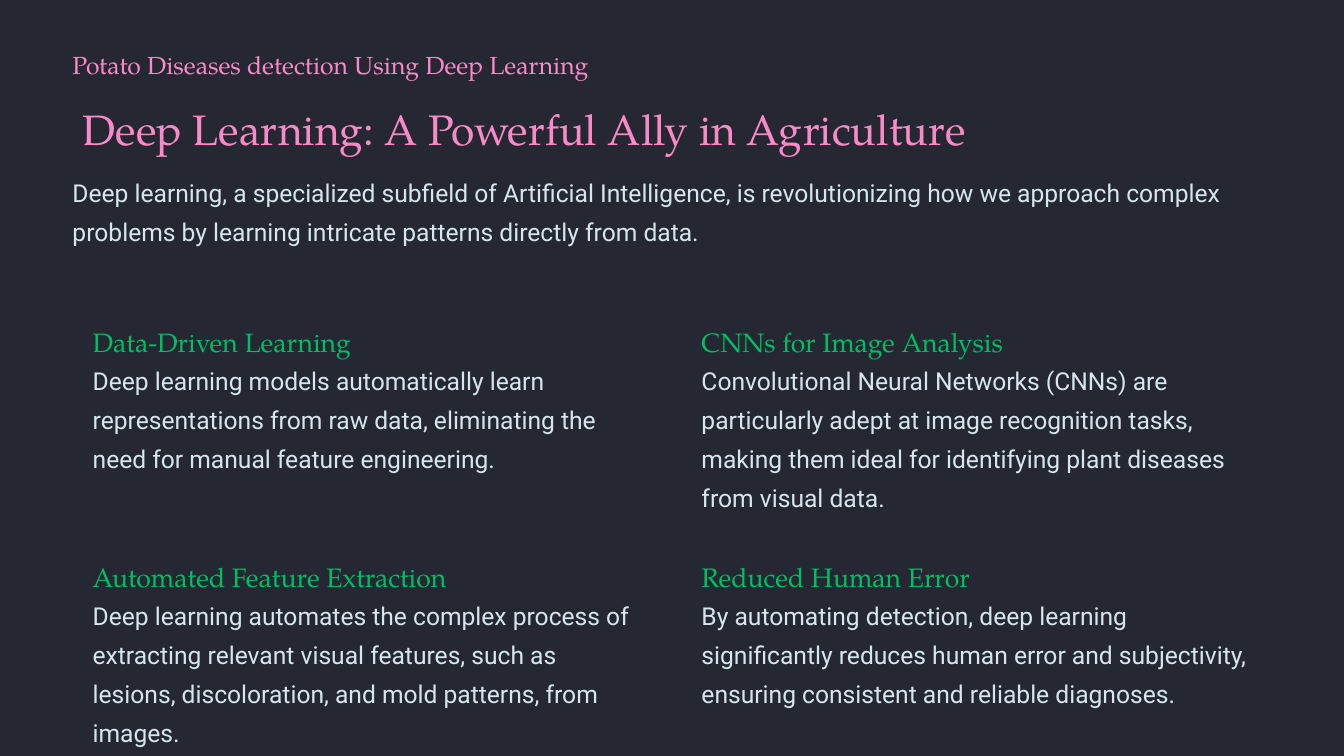
import pptx
import pptx.dml.color
import pptx.enum.shapes
import pptx.enum.text
import pptx.util
from dataclasses import dataclass

PROJECT = "Potato Diseases detection Using Deep Learning"
HEADLINE = "Deep Learning: A Powerful Ally in Agriculture"
INTRO = (
    "Deep learning, a specialized subfield of Artificial Intelligence, is revolutionizing "
    "how we approach complex problems by learning intricate patterns directly from data."
)
BENEFITS = [
    ("Data-Driven Learning",
     "Deep learning models automatically learn representations from raw data, "
     "eliminating the need for manual feature engineering."),
    ("CNNs for Image Analysis",
     "Convolutional Neural Networks (CNNs) are particularly adept at image recognition tasks, "
     "making them ideal for identifying plant diseases from visual data."),
    ("Automated Feature Extraction",
     "Deep learning automates the complex process of extracting relevant visual features, "
     "such as lesions, discoloration, and mold patterns, from images."),
    ("Reduced Human Error",
     "By automating detection, deep learning significantly reduces human error and subjectivity, "
     "ensuring consistent and reliable diagnoses."),
]


@dataclass(frozen=True)
class Theme:
    backdrops: tuple = ("181A24", "252833")
    pink: str = "F98AC7"
    green: str = "00BF63"
    pale: str = "D6E5EF"
    serif: str = "TeX Gyre Pagella"
    sans: str = "Roboto"
    project: tuple = (26.5, 33.1)
    headline: tuple = (45.6, 56.9)
    heading: tuple = (28.5, 35.6)
    body: tuple = (26.4, 41.7)


THEME = Theme()
Pt = pptx.util.Pt
SLIDE_WIDTH, SLIDE_HEIGHT = 1440, 810
MARGIN = 77.7
GRID_LEFT, GRID_TOP = 99.3, 348
COLUMN_STEP, ROW_STEP = 652.3, 252
COLUMN_WIDTH = 589
HEADING_HEIGHT = 34.1


def cover(slide, color):
    backdrop = slide.shapes.add_shape(
        pptx.enum.shapes.MSO_SHAPE.RECTANGLE, 0, 0, Pt(SLIDE_WIDTH), Pt(SLIDE_HEIGHT))
    backdrop.shadow.inherit = False
    backdrop.line.fill.background()
    backdrop.fill.solid()
    backdrop.fill.fore_color.rgb = pptx.dml.color.RGBColor.from_string(color)


def write(slide, text, *, at, size, font, color, holder=None):
    box = [Pt(length) for length in at]
    if holder is None:
        holder = slide.shapes.add_textbox(*box)
    else:
        holder.left, holder.top, holder.width, holder.height = box
        slide.shapes._spTree.append(holder._element)
    frame = holder.text_frame
    frame.margin_left = frame.margin_top = frame.margin_right = frame.margin_bottom = 0
    frame.word_wrap = True
    frame.auto_size = pptx.enum.text.MSO_AUTO_SIZE.NONE
    frame.vertical_anchor = pptx.enum.text.MSO_ANCHOR.TOP
    paragraph = frame.paragraphs[0]
    paragraph.alignment = pptx.enum.text.PP_ALIGN.LEFT
    paragraph.space_before = Pt(0)
    type_size, leading = size
    paragraph.line_spacing = Pt(leading)
    run = paragraph.add_run()
    run.text = text
    run.font.size = Pt(type_size)
    run.font.name = font
    run.font.color.rgb = pptx.dml.color.RGBColor.from_string(color)


def main():
    deck = pptx.Presentation()
    deck.slide_width, deck.slide_height = Pt(SLIDE_WIDTH), Pt(SLIDE_HEIGHT)
    slide = deck.slides.add_slide(deck.slide_layouts.get_by_name("Title Only"))
    for color in THEME.backdrops:
        cover(slide, color)

    write(slide, PROJECT, at=(MARGIN, 51.8, 1026.7, 33.1),
          size=THEME.project, font=THEME.serif, color=THEME.pink)
    write(slide, HEADLINE, at=(88.9, 108, 1026.7, 55.4), holder=slide.shapes.title,
          size=THEME.headline, font=THEME.serif, color=THEME.pink)
    write(slide, INTRO, at=(MARGIN, 180.4, SLIDE_WIDTH - 2 * MARGIN, 80),
          size=THEME.body, font=THEME.sans, color=THEME.pale)

    for index, (heading, detail) in enumerate(BENEFITS):
        row, column = divmod(index, 2)
        left = GRID_LEFT + column * COLUMN_STEP
        top = GRID_TOP + row * ROW_STEP
        write(slide, heading, at=(left, top, COLUMN_WIDTH, HEADING_HEIGHT),
              size=THEME.heading, font=THEME.serif, color=THEME.green)
        write(slide, detail, at=(left, top + HEADING_HEIGHT, COLUMN_WIDTH, 121),
              size=THEME.body, font=THEME.sans, color=THEME.pale)

    deck.save("out.pptx")


if __name__ == "__main__":
    main()
